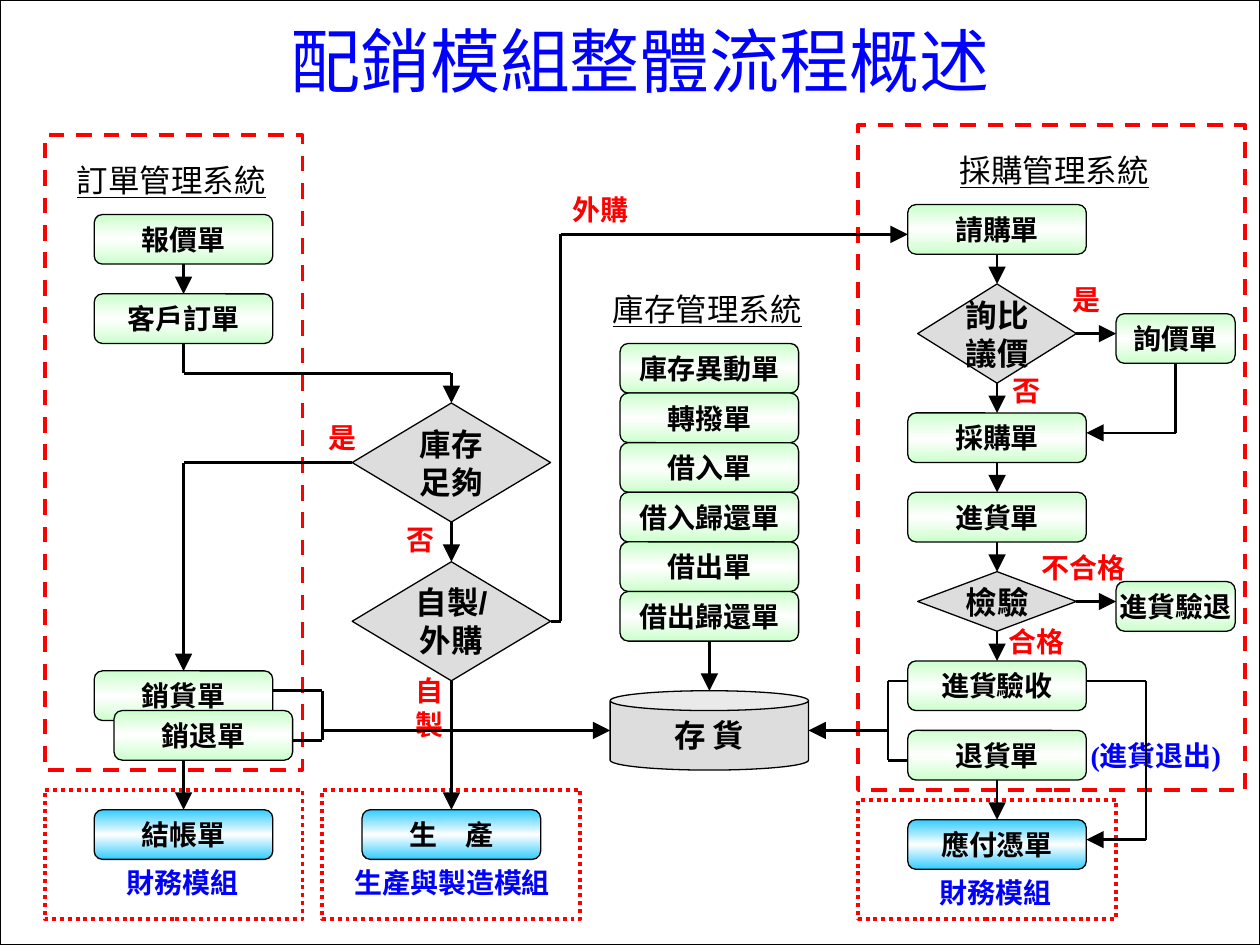
import copy
import dataclasses

import pptx
import pptx.dml.color
import pptx.enum.dml
import pptx.enum.shapes
import pptx.enum.text
import pptx.oxml.ns
import pptx.oxml.xmlchemy
import pptx.util

SHAPE = pptx.enum.shapes.MSO_SHAPE
DASH = pptx.enum.dml.MSO_LINE
ALIGN = pptx.enum.text.PP_ALIGN
ANCHOR = pptx.enum.text.MSO_ANCHOR
CELL = pptx.util.Mm(2)
MARGIN_X, MARGIN_Y = pptx.util.Mm(1), pptx.util.Mm(1.25)
DOC_W, DOC_H = 18, 5


@dataclasses.dataclass(frozen=True)
class Theme:
    ink: str = "000000"
    paper: str = "FFFFFF"
    blue: str = "0000FF"
    red: str = "FF0000"
    grey: str = "DDDDDD"
    green: str = "CCFFCC"
    sky: str = "33CCFF"
    sans: str = "Arial"
    serif: str = "Times New Roman"
    cjk: str = "Noto Sans CJK SC"
    title: int = 40
    heading: int = 18
    body: int = 16
    hairline: float = 0.75
    flow: float = 1.5
    frame: float = 2.25


THEME = Theme()


def rgb(value):
    return pptx.dml.color.RGBColor.from_string(value)


def append_xml(parent, tag, **attributes):
    element = pptx.oxml.xmlchemy.OxmlElement(tag)
    for key, value in attributes.items():
        element.set(key, value)
    parent.append(element)


def fill_band(shape, edge):
    shape.fill.gradient()
    shape.fill.gradient_angle = 90
    stops = next(shape.element.spPr.iter(pptx.oxml.ns.qn("a:gsLst")))
    middle = copy.deepcopy(stops[0])
    middle.set("pos", "50000")
    stops.insert(1, middle)
    for stop, color in zip(shape.fill.gradient_stops, (edge, THEME.paper, edge)):
        stop.color.rgb = rgb(color)


def write(shape, text, size, color=THEME.ink, font=THEME.sans, bold=True,
          underline=None, align=ALIGN.CENTER, anchor=ANCHOR.MIDDLE, wrap=False):
    frame = shape.text_frame
    frame.text = text
    frame.word_wrap = wrap
    frame.vertical_anchor = anchor
    if not wrap:
        frame.margin_left = frame.margin_right = 0
    for paragraph in frame.paragraphs:
        paragraph.alignment = align
        paragraph.font.name = font
        paragraph.font.size = pptx.util.Pt(size)
        paragraph.font.bold = bold
        paragraph.font.underline = underline
        paragraph.font.color.rgb = rgb(color)


@dataclasses.dataclass
class Region:
    slide: object
    col: float
    row: float
    cols: float
    rows: float

    def point(self, col, row):
        return (round(MARGIN_X + (self.col + col) * CELL),
                round(MARGIN_Y + (self.row + row) * CELL))

    def place(self, kind, col, row, cols, rows):
        shape = self.slide.shapes.add_shape(
            kind, *self.point(col, row), round(cols * CELL), round(rows * CELL))
        shape.shadow.inherit = False
        shape.line.color.rgb = rgb(THEME.ink)
        shape.line.width = pptx.util.Pt(THEME.hairline)
        return shape

    def text(self, text, col, row, cols, rows, size, **style):
        box = self.slide.shapes.add_textbox(
            *self.point(col, row), round(cols * CELL), round(rows * CELL))
        write(box, text, size, **style)

    def border(self, dash):
        frame = self.place(SHAPE.RECTANGLE, 0, 0, self.cols, self.rows)
        frame.fill.background()
        frame.line.color.rgb = rgb(THEME.red)
        frame.line.width = pptx.util.Pt(THEME.frame)
        frame.line.dash_style = dash

    def document(self, text, col, row, cols=DOC_W, edge=THEME.green):
        box = self.place(SHAPE.ROUNDED_RECTANGLE, col, row, cols, DOC_H)
        fill_band(box, edge)
        write(box, text, THEME.body)

    def solid(self, kind, text, col, row, cols, rows, font=THEME.sans):
        shape = self.place(kind, col, row, cols, rows)
        shape.fill.solid()
        shape.fill.fore_color.rgb = rgb(THEME.grey)
        write(shape, text, THEME.heading, font=font)

    def decision(self, text, col, row, cols, rows):
        self.solid(SHAPE.FLOWCHART_DECISION, text, col, row, cols, rows)

    def heading(self, text, col, row):
        self.text(text, col, row, 26, 5, THEME.heading, bold=False, underline=True,
                  align=ALIGN.LEFT, anchor=ANCHOR.TOP, wrap=True)

    def answer(self, text, col, row, cols=8, rows=5):
        self.text(text, col, row, cols, rows, THEME.body, color=THEME.red)

    def flow(self, *stops, arrow=True):
        for index in range(1, len(stops)):
            line = self.slide.shapes.add_connector(
                pptx.enum.shapes.MSO_CONNECTOR.STRAIGHT,
                *self.point(*stops[index - 1]), *self.point(*stops[index]))
            line.line.color.rgb = rgb(THEME.ink)
            line.line.width = pptx.util.Pt(THEME.flow)
            if arrow and index == len(stops) - 1:
                append_xml(line.line._get_or_add_ln(), "a:tailEnd",
                           type="triangle", w="lg", len="lg")
            append_xml(line.element.spPr, "a:effectLst")


def draw_title(slide, size):
    page = slide.shapes.add_shape(SHAPE.RECTANGLE, 0, 0, *size)
    page.shadow.inherit = False
    page.fill.solid()
    page.fill.fore_color.rgb = rgb(THEME.paper)
    page.line.color.rgb = rgb(THEME.ink)
    page.line.width = pptx.util.Pt(THEME.hairline)
    Region(slide, 7, -0.6, 114, 12).text(
        "配銷模組整體流程概述", 0, 0, 114, 12, THEME.title,
        color=THEME.blue, font=THEME.serif, bold=False, wrap=True)


def draw_sales(region):
    region.border(DASH.DASH)
    region.heading("訂單管理系統", 2, 2)
    for text, col, row in (("報價單", 5, 8), ("客戶訂單", 5, 16),
                           ("銷貨單", 5, 54), ("銷退單", 7, 58)):
        region.document(text, col, row)
    region.flow((14, 13), (14, 16))


def draw_stock_check(region):
    region.answer("是", -5, 1)
    region.answer("否", 2.85, 11.2)
    region.answer("自\n製", 5.8, 26.7, 4, 8)
    region.decision("庫存\n足夠", 0, 0, 20, 12)
    region.decision("自製/\n外購", 0, 16, 20, 12)
    region.flow((10, 12), (10, 16))


def draw_inventory(region):
    region.heading("庫存管理系統", -1, 0)
    slips = ("庫存異動單", "轉撥單", "借入單", "借入歸還單", "借出單", "借出歸還單")
    for index, text in enumerate(slips):
        region.document(text, 1, 6 + index * DOC_H)
    region.solid(SHAPE.CAN, "存 貨", 0, 41, 20, 8, font=THEME.cjk)
    region.flow((10, 36), (10, 41))


def draw_purchasing(region):
    region.border(DASH.DASH)
    region.heading("採購管理系統", 9, 2)
    for text, row in (("請購單", 8), ("採購單", 29), ("進貨單", 37),
                      ("進貨驗收", 54), ("退貨單", 61)):
        region.document(text, 5, row)
    region.document("詢價單", 26, 19, 12)
    region.document("進貨驗退", 26, 46, 12)
    region.decision("詢比\n議價", 6, 16, 16, 10)
    region.decision("檢驗", 6, 45, 16, 6)
    for text, col, row, cols in (("是", 19, 15, 8), ("否", 13, 24.2, 8),
                                 ("不合格", 16.7, 42.1, 12), ("合格", 13, 49.5, 10)):
        region.answer(text, col, row, cols)
    region.text("(進貨退出)", 21, 61, 18, 5, THEME.body,
                color=THEME.blue, font=THEME.serif)
    for start, end in ((13, 16), (26, 29), (34, 37), (42, 45), (51, 54)):
        region.flow((14, start), (14, end))
    for row in (21, 48):
        region.flow((22, row), (26, row))
    region.flow((32, 24), (32, 31), (23, 31))


def draw_module(region, document, caption, inset, caption_col, caption_cols):
    region.border(DASH.ROUND_DOT)
    region.document(document, inset, 2, edge=THEME.sky)
    region.text(caption, caption_col, 7, caption_cols, 4.7, THEME.body,
                color=THEME.blue, font=THEME.serif, align=ALIGN.LEFT,
                anchor=ANCHOR.TOP, wrap=True)


def draw_links(region):
    region.answer("外購", 55, 18, 10)
    region.flow((18, 34), (18, 37), (45, 37), (45, 40))
    region.flow((35, 46), (18, 46), (18, 67))
    region.flow((55, 62), (56, 62), (56, 23), (91, 23))
    region.flow((45, 68), (45, 81))
    region.flow((18, 76), (18, 81))
    region.flow((27, 69), (32, 69), (32, 74), (29, 74), arrow=False)
    region.flow((32, 73), (61, 73))
    region.flow((91, 68), (89, 68), (89, 76), (91, 76), arrow=False)
    region.flow((89, 73), (81, 73))
    region.flow((100, 78), (100, 82))
    region.flow((109, 68), (115, 68), (115, 84), (109, 84))


def main():
    deck = pptx.Presentation()
    deck.slide_width, deck.slide_height = pptx.util.Inches(10), pptx.util.Inches(7.5)
    slide = deck.slides.add_slide(deck.slide_layouts[6])
    draw_title(slide, (deck.slide_width, deck.slide_height))
    draw_sales(Region(slide, 4, 13, 26, 64))
    draw_stock_check(Region(slide, 35, 40, 20, 28))
    draw_inventory(Region(slide, 61, 28, 20, 49))
    draw_purchasing(Region(slide, 86, 12, 39, 67))
    draw_module(Region(slide, 4, 79, 26, 13), "結帳單", "財務模組", 5, 7, 15)
    draw_module(Region(slide, 32, 79, 26, 13), "生　產", "生產與製造模組", 4, 2, 23)
    draw_module(Region(slide, 86, 80, 26, 12), "應付憑單", "財務模組", 5, 7, 15)
    draw_links(Region(slide, 0, 0, 126, 94))
    deck.save("out.pptx")


if __name__ == "__main__":
    main()
